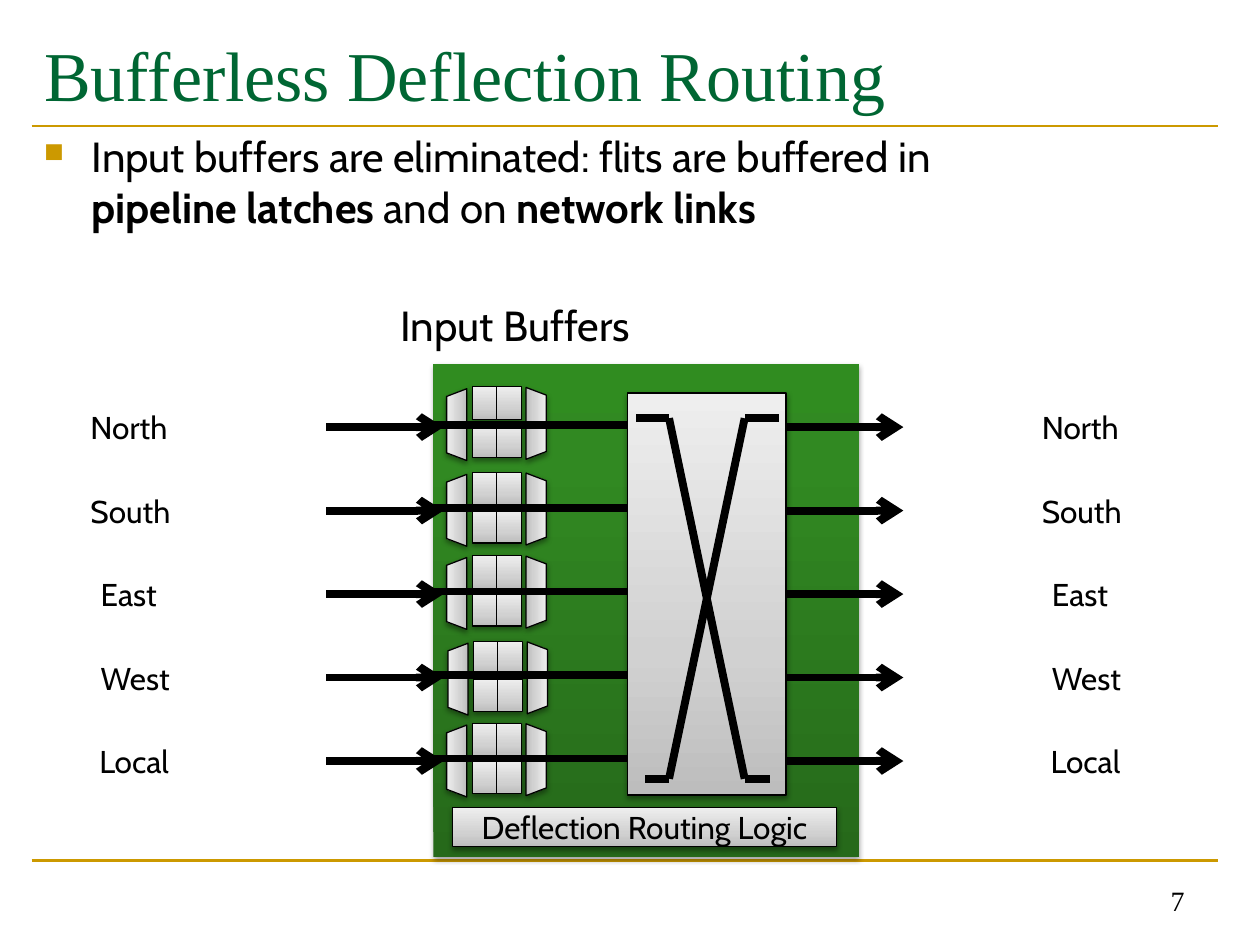
from itertools import pairwise

from pptx import Presentation
from pptx.dml.color import RGBColor
from pptx.enum.shapes import MSO_CONNECTOR, MSO_SHAPE
from pptx.enum.text import MSO_ANCHOR, PP_ALIGN
from pptx.oxml import parse_xml
from pptx.oxml.ns import nsdecls, qn
from pptx.oxml.xmlchemy import OxmlElement
from pptx.util import Inches, Pt

COLORS = {"black": "000000", "gold": "CC9900", "title": "006633"}
GREEN = [(0, "26691A"), (80, "318922"), (100, "308C20")]
GRAY = [(0, "BDBDBD"), (35, "D1D1D1"), (100, "EEEEEE")]
BODY_FONT = "Cabin"
TITLE_FONT = "Times New Roman"
PORTS = [("North", 0.62, 0.96), ("South", 0.62, 0.96), ("East", 0.7, 0.95),
         ("West", 0.7, 0.95), ("Local", 0.69, 0.87)]
BUFFERS = [(3.75, 3.07), (3.75, 3.75), (3.75, 4.41), (3.76, 5.09), (3.75, 5.74)]
ROW_TOP = 3.39
ROW_STEP = 2.65 / 4
ROWS = [ROW_TOP + i * ROW_STEP for i in range(len(PORTS))]


def rgb(name):
    return RGBColor.from_string(COLORS[name])


def add_run(p, text, size, font=BODY_FONT, color="black", bold=False):
    r = p.add_run()
    r.text = text
    r.font.size = Pt(size)
    r.font.name = font
    r.font.bold = bold
    r.font.color.rgb = rgb(color)


def add_text(s, box, text, size, font=BODY_FONT, align=PP_ALIGN.LEFT,
             anchor=MSO_ANCHOR.TOP, wrap=True):
    tf = s.shapes.add_textbox(*map(Inches, box)).text_frame
    tf.word_wrap = wrap
    tf.vertical_anchor = anchor
    p = tf.paragraphs[0]
    p.alignment = align
    if text:
        add_run(p, text, size, font)
    return p


def add_line(s, start, end, width=4.5, color="black", arrow=False):
    line = s.shapes.add_connector(MSO_CONNECTOR.STRAIGHT,
                                  *map(Inches, (*start, *end)))
    line.line.color.rgb = rgb(color)
    line.line.width = Pt(width)
    if arrow:
        tail = OxmlElement("a:tailEnd")
        tail.set("type", "arrow")
        line.line._get_or_add_ln().append(tail)
    line._element.spPr.append(OxmlElement("a:effectLst"))


def add_block(s, box, stops=GRAY, shape=MSO_SHAPE.RECTANGLE, outline=True,
              alpha=38, dist=1.6):
    sp = s.shapes.add_shape(shape, *map(Inches, box))
    if outline:
        sp.line.color.rgb = rgb("black")
        sp.line.width = Pt(0.75)
    else:
        sp.line.fill.background()
    sp.shadow.inherit = False
    spPr = sp._element.spPr
    gs = "".join(f'<a:gs pos="{pos * 1000}"><a:srgbClr val="{color}"/></a:gs>'
                 for pos, color in stops)
    spPr.find(qn("a:prstGeom")).addnext(parse_xml(
        f'<a:gradFill {nsdecls("a")} rotWithShape="1"><a:gsLst>{gs}</a:gsLst>'
        '<a:lin ang="16200000" scaled="0"/></a:gradFill>'))
    spPr.find(qn("a:effectLst")).append(parse_xml(
        f'<a:outerShdw {nsdecls("a")} blurRad="{Pt(3.1)}" dist="{Pt(dist)}" '
        'dir="5400000" rotWithShape="0"><a:srgbClr val="000000">'
        f'<a:alpha val="{alpha * 1000}"/></a:srgbClr></a:outerShdw>'))
    return sp


def add_buffer(s, x, y):
    for top in (y, y + 0.3):
        add_block(s, (x, top, 0.39, 0.26))
        add_line(s, (x + 0.19, top), (x + 0.19, top + 0.26), 0.75)
    for dx, dy, angle in ((0.22, 0.21, 90), (-0.41, 0.22, 270)):
        sp = add_block(s, (x + dx, y + dy, 0.57, 0.16), shape=MSO_SHAPE.TRAPEZOID)
        sp.adjustments[0] = 0.38
        sp.rotation = angle


def add_crossbar(s):
    add_block(s, (4.98, 3.12, 1.26, 3.19))
    for points in (
        [(5.05, 3.32), (5.31, 3.32), (5.91, 6.18), (6.11, 6.18)],
        [(6.18, 3.32), (5.91, 3.32), (5.31, 6.18), (5.12, 6.18)],
    ):
        for start, end in pairwise(points):
            add_line(s, start, end)


def add_title(s):
    title = s.shapes.title
    title.left, title.top, title.width, title.height = map(
        Inches, (0.25, 0.17, 9.42, 0.83))
    tf = title.text_frame
    tf.vertical_anchor = MSO_ANCHOR.MIDDLE
    p = tf.paragraphs[0]
    p.alignment = PP_ALIGN.LEFT
    add_run(p, "Bufferless Deflection Routing", 40, TITLE_FONT, "title")


def add_bullet(s):
    p = add_text(s, (0.25, 0.99, 9.42, 1.43), "", 24)
    pPr = p._p.get_or_add_pPr()
    pPr.set("marL", str(Inches(0.38)))
    pPr.set("indent", str(Inches(-0.38)))
    for xml in (f'<a:buClr {nsdecls("a")}><a:srgbClr val="{COLORS["gold"]}"/></a:buClr>',
                f'<a:buSzPct {nsdecls("a")} val="65000"/>',
                f'<a:buChar {nsdecls("a")} char="■"/>'):
        pPr.append(parse_xml(xml))
    add_run(p, "Input buffers are eliminated: flits are buffered in", 24)
    p.add_line_break()
    add_run(p, "pipeline latches", 24, bold=True)
    add_run(p, " and on ", 24)
    add_run(p, "network links", 24, bold=True)


def add_router(s):
    add_block(s, (3.44, 2.89, 3.38, 3.91), GREEN, outline=False, alpha=35, dist=1.8)
    for y in ROWS:
        add_line(s, (2.59, y), (3.52, y), arrow=True)
        add_line(s, (4.29, y - 0.02), (4.98, y - 0.02))
    add_crossbar(s)
    for y, (name, x, width) in zip(ROWS, PORTS):
        add_line(s, (6.24, y), (7.17, y), arrow=True)
        for left in (x, x + 7.55):
            add_text(s, (left, y - 0.2, width, 0.4), name, 18)
    for x, y in BUFFERS:
        add_buffer(s, x, y)
    for y in ROWS:
        add_line(s, (3.44, y - 0.02), (4.36, y - 0.02))
    tf = add_block(s, (3.59, 6.41, 3.05, 0.31)).text_frame
    tf.vertical_anchor = MSO_ANCHOR.MIDDLE
    p = tf.paragraphs[0]
    p.alignment = PP_ALIGN.CENTER
    add_run(p, "Deflection Routing Logic", 18)
    add_text(s, (3.08, 2.33, 2.15, 0.5), "Input Buffers", 24, wrap=False)


def main():
    prs = Presentation()
    prs.slide_width, prs.slide_height = Inches(10), Inches(7.5)
    s = prs.slides.add_slide(prs.slide_layouts[5])
    for y in (6.83, 1):
        add_line(s, (0.25, y), (9.67, y), 1.5, "gold")
    add_title(s)
    add_bullet(s)
    add_text(s, (7.17, 6.83, 2.33, 0.5), "7", 16, TITLE_FONT,
             PP_ALIGN.RIGHT, MSO_ANCHOR.BOTTOM)
    add_router(s)
    prs.save("out.pptx")


if __name__ == "__main__":
    main()
